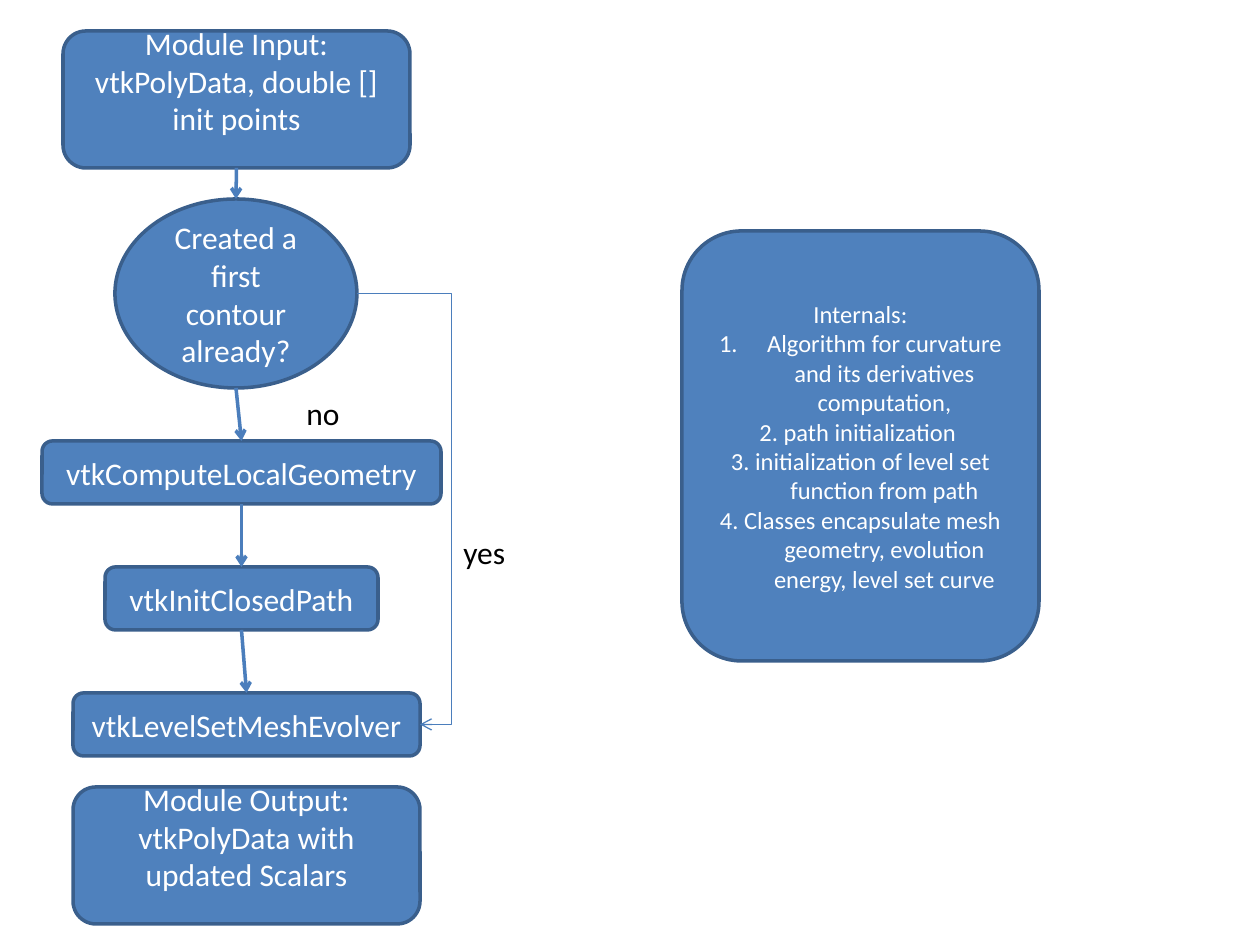
from lxml import etree
from pptx import Presentation
from pptx import util as u
from pptx.dml.color import RGBColor
from pptx.enum import shapes, text
from pptx.oxml.ns import qn

PX = 914400 // 126
FILL, EDGE, ARROW, WHITE, BLACK = "4F81BD", "3A5F8C", "4B7EBC", "FFFFFF", "000000"
ROUND, OVAL = shapes.MSO_SHAPE.ROUNDED_RECTANGLE, shapes.MSO_SHAPE.OVAL
INSET, LINE, INDENT = 6, 38, 48

BOXES = {
    "input": (ROUND, (63, 31, 347, 137), 18, LINE,
              ["Module Input: vtkPolyData, double [] init points"]),
    "question": (OVAL, (115, 199, 242, 189), 18, 0, ["Created a first contour already?"]),
    "geometry": (ROUND, (42, 441, 399, 63), 18, 0, ["vtkComputeLocalGeometry"]),
    "path": (ROUND, (105, 567, 273, 63), 18, 0, ["vtkInitClosedPath"]),
    "evolver": (ROUND, (73, 693, 347, 63), 18, 0, ["vtkLevelSetMeshEvolver"]),
    "output": (ROUND, (73, 787, 347, 137), 18, LINE,
               ["Module Output: vtkPolyData with updated Scalars"]),
    "internals": (ROUND, (682, 231, 357, 430), 14, 0, [
        "Internals:",
        "Algorithm for curvature and its derivatives computation,",
        "2. path initialization ",
        "3. initialization of level set function from path",
        "4. Classes encapsulate mesh geometry, evolution energy, level set curve",
    ]),
}
FLOW = ["input", "question", "geometry", "path", "evolver"]
LABELS = [("no", (294, 388, 84, 50)), ("yes", (451, 527, 84, 50))]


def px(value):
    return u.Emu(round(value * PX))


def color(value):
    return RGBColor.from_string(value)


def apply(target, **values):
    for name, value in values.items():
        setattr(target, name, value)


def write(shape, lines, size, ink, align):
    frame = shape.text_frame
    frame.word_wrap = True
    for index, line in enumerate(lines):
        para = frame.paragraphs[0] if index == 0 else frame.add_paragraph()
        para.alignment = align
        span = para.add_run()
        span.text = line
        apply(span.font, name="Calibri", size=u.Pt(size))
        span.font.color.rgb = color(ink)
    return frame


def add_box(page, kind, place, size, lift, lines):
    box = page.shapes.add_shape(kind, *map(px, place))
    box.shadow.inherit = False
    box.fill.solid()
    box.fill.fore_color.rgb = color(FILL)
    box.line.color.rgb = color(EDGE)
    box.line.width = u.Pt(2)
    frame = write(box, lines, size, WHITE, text.PP_ALIGN.CENTER)
    apply(frame, vertical_anchor=text.MSO_ANCHOR.MIDDLE, margin_bottom=px(INSET + lift))
    for index, para in enumerate(frame.paragraphs[1:]):
        props = para._p.get_or_add_pPr()
        props.set("marL", str(px(INDENT)))
        props.set("indent", str(-px(INDENT)))
        if index == 0:
            etree.SubElement(props, qn("a:buFont"), typeface="+mj-lt")
            etree.SubElement(props, qn("a:buAutoNum"), type="arabicPeriod")


def add_arrow(page, kind, start, end, width):
    arrow = page.shapes.add_connector(kind, *map(px, start + end))
    arrow.line.color.rgb = color(ARROW)
    arrow.line.width = u.Pt(width)
    etree.SubElement(arrow.line._get_or_add_ln(), qn("a:tailEnd"), type="arrow")
    etree.SubElement(arrow._element.spPr, qn("a:effectLst"))
    return arrow


def side(name, across, down):
    left, top, width, height = BOXES[name][1]
    return left + width * across, top + height * down


def main():
    deck = Presentation()
    apply(deck, slide_width=u.Inches(10), slide_height=u.Inches(7.5))
    page = deck.slides.add_slide(deck.slide_layouts[6])

    for box in BOXES.values():
        add_box(page, *box)

    for above, below in zip(FLOW, FLOW[1:]):
        add_arrow(page, shapes.MSO_CONNECTOR.STRAIGHT,
                  side(above, 0.5, 1), side(below, 0.5, 0), 2)

    bypass = add_arrow(page, shapes.MSO_CONNECTOR.ELBOW,
                       side("question", 1, 0.5), side("evolver", 1, 0.5), 0.75)
    guides = bypass._element.spPr.find(qn("a:prstGeom")).get_or_add_avLst()
    etree.SubElement(guides, qn("a:gd"), name="adj1", fmla="val 150000")

    for word, place in LABELS:
        label = page.shapes.add_textbox(*map(px, place))
        write(label, [word], 18, BLACK, text.PP_ALIGN.LEFT)

    deck.save("out.pptx")


if __name__ == "__main__":
    main()
